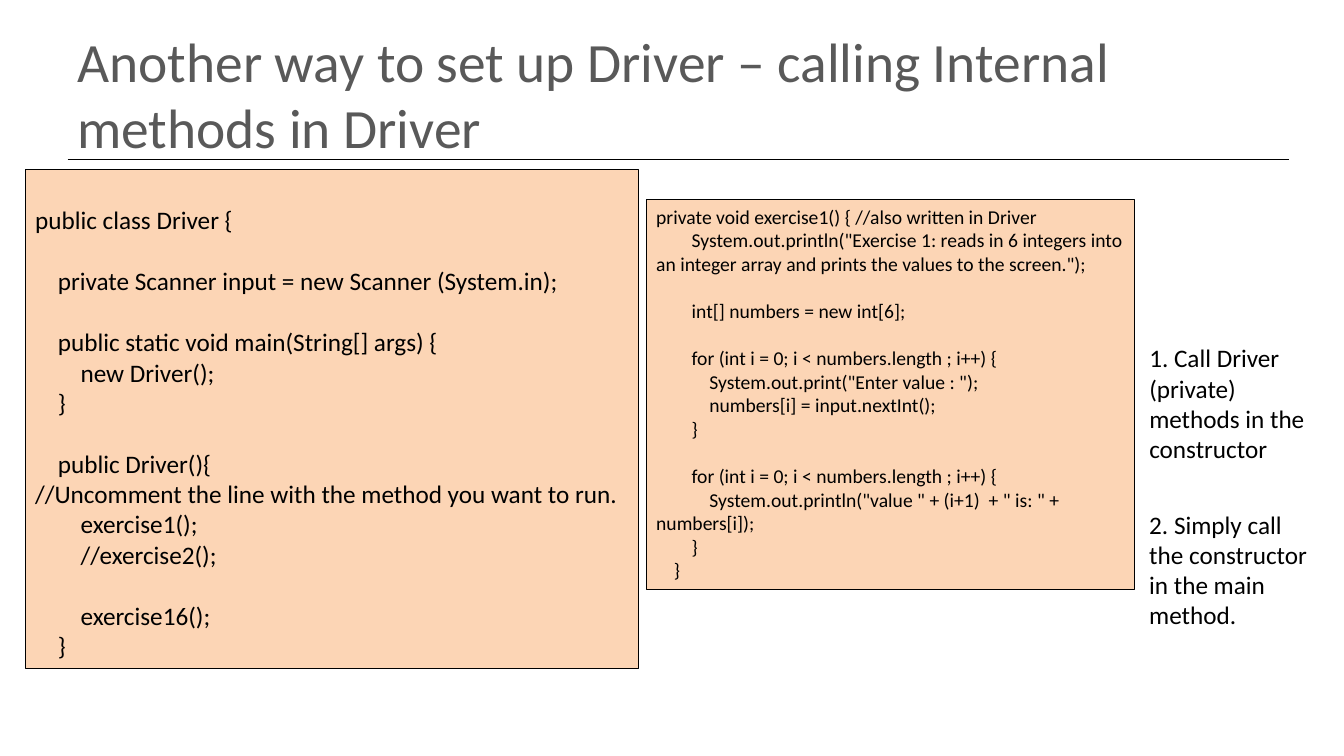
from lxml.etree import SubElement
from pptx import Presentation
from pptx.dml.color import RGBColor
from pptx.enum.shapes import MSO_CONNECTOR, MSO_SHAPE
from pptx.enum.text import MSO_ANCHOR, MSO_AUTO_SIZE, PP_ALIGN
from pptx.oxml.ns import qn
from pptx.util import Pt

PX = 9144  # 100 px to the inch


def rgb(value):
    return RGBColor.from_string(value)


def write(s, text, size, color="000000", anchor=MSO_ANCHOR.TOP):
    """Fill a shape with text; each empty line becomes space before the next."""
    tf = s.text_frame
    frame = {"word_wrap": True, "vertical_anchor": anchor,
             "auto_size": MSO_AUTO_SIZE.NONE}
    for name, value in frame.items():
        setattr(tf, name, value)
    p, gap = None, 0
    for line in text.split("\n"):
        if not line:
            gap += 1
            continue
        p = tf.add_paragraph() if p else tf.paragraphs[0]
        p.alignment = PP_ALIGN.LEFT
        if gap:
            p.space_before = Pt(round(size * 1.22) * gap)
        gap = 0
        r = p.add_run()
        r.text = line
        for name, value in {"name": "Calibri", "size": Pt(size)}.items():
            setattr(r.font, name, value)
        r.font.color.rgb = rgb(color)


prs = Presentation()
prs.slide_width, prs.slide_height = 1333 * PX, 750 * PX
slide = prs.slides.add_slide(prs.slide_layouts[6])
shapes = slide.shapes

# Title and the rule below it
rule = shapes.add_connector(MSO_CONNECTOR.STRAIGHT,
                            67 * PX, 158 * PX, 1278 * PX, 158 * PX)
rule.line.color.rgb = rgb("000000")
rule.line.width = Pt(1)
SubElement(rule._element.spPr, qn("a:effectLst"))
title = shapes.add_textbox(67 * PX, 30 * PX, 1200 * PX, 125 * PX)
write(title, "Another way to set up Driver – calling Internal methods in Driver",
      39.6, "595959", MSO_ANCHOR.MIDDLE)

# Code panels: box, top inset, text size, code
driver_code = """public class Driver {

    private Scanner input = new Scanner (System.in);

    public static void main(String[] args) {
        new Driver();
    }

    public Driver(){
//Uncomment the line with the method you want to run.
        exercise1();
        //exercise2();

        exercise16();
    }"""
exercise_code = """private void exercise1() { //also written in Driver
        System.out.println("Exercise 1: reads in 6 integers into an integer array and prints the values to the screen.");

        int[] numbers = new int[6];

        for (int i = 0; i < numbers.length ; i++) {
            System.out.print("Enter value : ");
            numbers[i] = input.nextInt();
        }

        for (int i = 0; i < numbers.length ; i++) {
            System.out.println("value " + (i+1)  + " is: " + numbers[i]);
        }
    }"""
panels = [
    ((25, 168, 608, 495), 35, 18, driver_code),
    ((641, 198, 484, 387), 5, 14, exercise_code),
]
for box, inset, size, code in panels:
    s = shapes.add_shape(MSO_SHAPE.RECTANGLE, *(v * PX for v in box))
    s.shadow.inherit = False
    s.fill.solid()
    s.fill.fore_color.rgb = rgb("FCD5B5")
    s.line.color.rgb = rgb("000000")
    s.line.width = Pt(0.75)
    s.text_frame.margin_top = inset * PX
    write(s, code, size)

# Notes on the right
notes = [
    ((1130, 335, 178, 131), "1. Call Driver (private) methods in the constructor"),
    ((1130, 500, 187, 131), "2. Simply call the constructor in the main method."),
]
for box, text in notes:
    s = shapes.add_textbox(*(v * PX for v in box))
    write(s, text, 18)

prs.save("out.pptx")
